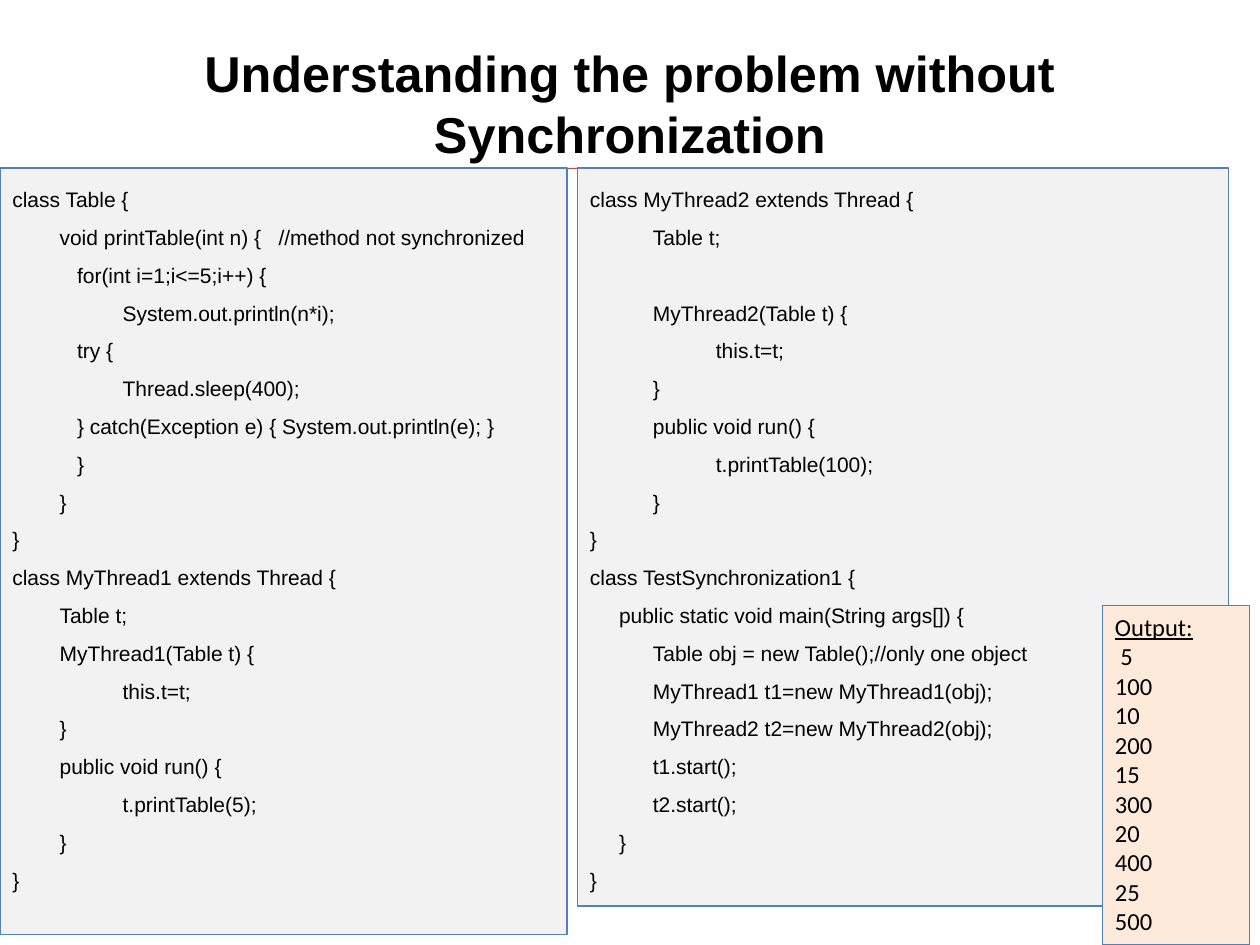
from dataclasses import dataclass

from lxml import etree
from pptx import Presentation, util as u
from pptx.dml.color import RGBColor
from pptx.enum import shapes, text
from pptx.oxml import ns


@dataclass(frozen=True)
class Theme:
    ink: str = "000000"
    rule: str = "C0504D"
    border: str = "4F81BD"
    code_fill: str = "F2F2F2"
    output_fill: str = "FDEADA"
    code_font: str = "Arial"
    output_font: str = "Calibri"
    title_size: float = 28.8
    code_size: float = 12
    output_size: float = 14
    line_width: float = 0.75
    code_spacing: float = 1.5
    blank_line: float = 21.6


theme = Theme()
COLUMNS, ROWS = 120, 90

presentation = Presentation()
presentation.slide_width, presentation.slide_height = u.Inches(10), u.Inches(7.5)
slide = presentation.slides.add_slide(presentation.slide_layouts[6])
column = presentation.slide_width / COLUMNS
row = presentation.slide_height / ROWS


def add_panel(left, top, width, height, fill):
    """Add a bordered box, placed in grid columns and rows, and return its text frame."""
    panel = slide.shapes.add_shape(
        shapes.MSO_SHAPE.RECTANGLE,
        *(round(length) for length in (left * column, top * row, width * column, height * row)))
    panel.shadow.inherit = False
    panel.fill.solid()
    panel.fill.fore_color.rgb = RGBColor.from_string(fill)
    panel.line.color.rgb = RGBColor.from_string(theme.border)
    panel.line.width = u.Pt(theme.line_width)
    panel.text_frame.word_wrap = True
    panel.text_frame.vertical_anchor = text.MSO_ANCHOR.TOP
    return panel.text_frame


def add_line(frame, line, font, size, align=text.PP_ALIGN.LEFT):
    """Write one line as the frame's next paragraph and return the paragraph and its run."""
    paragraph = frame.paragraphs[0]
    if paragraph.runs:
        paragraph = frame.add_paragraph()
    paragraph.alignment = align
    run = paragraph.add_run()
    run.text = line
    run.font.name, run.font.size = font, u.Pt(size)
    run.font.color.rgb = RGBColor.from_string(theme.ink)
    return paragraph, run


# Rule under the title
rule = slide.shapes.add_connector(
    shapes.MSO_CONNECTOR.STRAIGHT,
    round(5 * column), round(16 * row), round(117 * column), round(16.1 * row))
rule.line.color.rgb = RGBColor.from_string(theme.rule)
rule.line.width = u.Pt(theme.line_width)
etree.SubElement(rule._element.spPr, ns.qn("a:effectLst"))

# Title
title = slide.shapes.add_textbox(
    round(6 * column), round(3.6 * row), round(108 * column), round(12.4 * row)).text_frame
title.word_wrap = True
title.vertical_anchor = text.MSO_ANCHOR.MIDDLE
_, title_run = add_line(title, "Understanding the problem without Synchronization",
                        theme.code_font, theme.title_size, text.PP_ALIGN.CENTER)
title_run.font.bold = True

# Code panels
table_code = """class Table {
\tvoid printTable(int n) {   //method not synchronized
\t   for(int i=1;i<=5;i++) {
\t\tSystem.out.println(n*i);
\t   try {
\t\tThread.sleep(400);
\t   } catch(Exception e) { System.out.println(e); }
\t   }
\t}
}
class MyThread1 extends Thread {
\tTable t;
\tMyThread1(Table t) {
\t\tthis.t=t;
\t}
\tpublic void run() {
\t\tt.printTable(5);
\t}
}"""

test_code = """class MyThread2 extends Thread {
\tTable t;

\tMyThread2(Table t) {
\t\tthis.t=t;
\t}
\tpublic void run() {
\t\tt.printTable(100);
\t}
}
class TestSynchronization1 {
     public static void main(String args[]) {
\tTable obj = new Table();//only one object
\tMyThread1 t1=new MyThread1(obj);
\tMyThread2 t2=new MyThread2(obj);
\tt1.start();
\tt2.start();
     }
}"""

code_panels = [
    # left, width, height, hanging indent in columns, code
    (0, 54, 73, 4.5, table_code),
    (55, 62, 70.3, 0, test_code),
]
for left, width, height, hanging, code in code_panels:
    frame = add_panel(left, 16, width, height, theme.code_fill)
    gap = 0
    for line in code.split("\n"):
        if not line:
            gap = theme.blank_line
            continue
        paragraph, _ = add_line(frame, line, theme.code_font, theme.code_size)
        paragraph.line_spacing = theme.code_spacing
        paragraph.space_before = u.Pt(gap)
        gap = 0
        properties = paragraph._p.get_or_add_pPr()
        properties.set("marL", str(round(hanging * column)))
        properties.set("indent", str(round(-hanging * column)))

# Program output
output = add_panel(105, 57.7, 14, 32.3, theme.output_fill)
_, heading = add_line(output, "Output:", theme.output_font, theme.output_size)
heading.font.underline = True
for value in (" 5", "100", "10", "200", "15", "300", "20", "400", "25", "500"):
    add_line(output, value, theme.output_font, theme.output_size)

presentation.save("out.pptx")
